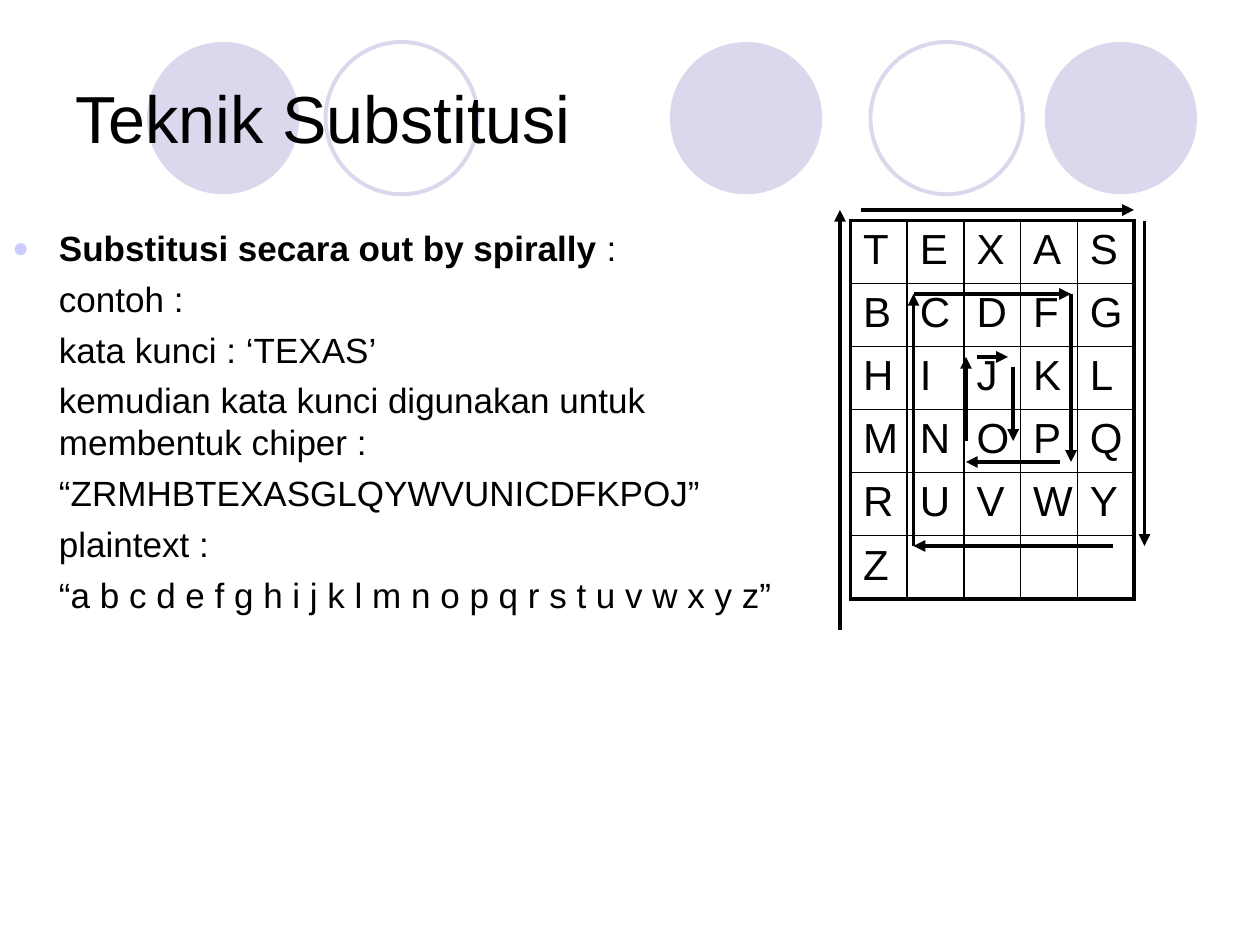
from lxml.etree import SubElement
from pptx import Presentation
from pptx.dml.color import RGBColor
from pptx.enum.shapes import MSO_CONNECTOR, MSO_SHAPE
from pptx.enum.text import MSO_ANCHOR
from pptx.oxml.ns import qn
from pptx.util import Inches, Pt

BLACK = RGBColor(0x00, 0x00, 0x00)
LAVENDER = RGBColor(0xD9, 0xD8, 0xEC)
BULLET = RGBColor(0xCC, 0xCC, 0xFF)

CIRCLE_TOP, CIRCLE_SIZE = 4, 14.5
CIRCLES = [(63.8, True), (99.5, True), (14, True), (82.9, False), (31, False)]

BODY = [
    [("Substitusi secara out by spirally", True), (" :", False)],
    [("contoh :", False)],
    [("kata kunci : ‘TEXAS’", False)],
    [("kemudian kata kunci digunakan untuk membentuk chiper :", False)],
    [("“ZRMHBTEXASGLQYWVUNICDFKPOJ”", False)],
    [("plaintext :", False)],
    [("“a b c d e f g h i j k l m n o p q r s t u v w x y z”", False)],
]

KEY_SQUARE = ["TEXAS", "BCDFG", "HIJKL", "MNOPQ", "RUVWY", "Z"]

SPIRAL_ARROWS = [
    (80, 60, 80, 20), (82, 20, 108, 20), (109, 21, 109, 52),
    (106, 52, 87, 52), (87, 52, 87, 28), (87, 28, 102, 28),
    (102, 28, 102, 44), (101, 44, 92, 44), (92, 42, 92, 34),
    (93, 34, 96, 34), (96.5, 35, 96.5, 42),
]


class SlideBuilder:
    """Draws styled elements on a slide divided into 120 columns and 90 rows."""

    font = "Arial"
    thick = Pt(2.25)
    thin = Pt(1)

    def __init__(self, presentation):
        self.slide = presentation.slides.add_slide(presentation.slide_layouts[6])
        self.column = presentation.slide_width / 120
        self.row = presentation.slide_height / 90

    def place(self, x, y):
        return round(x * self.column), round(y * self.row)

    def circle(self, x, y, size, filled):
        shape = self.slide.shapes.add_shape(
            MSO_SHAPE.OVAL, *self.place(x, y), *self.place(size, size))
        shape.shadow.inherit = False
        if filled:
            shape.fill.solid()
            shape.fill.fore_color.rgb = LAVENDER
            shape.line.fill.background()
        else:
            shape.fill.background()
            shape.line.color.rgb = LAVENDER
            shape.line.width = self.thick

    def add_run(self, paragraph, text, size, bold=False):
        run = paragraph.add_run()
        run.text = text
        run.font.name = self.font
        run.font.size = Pt(size)
        run.font.bold = bold
        run.font.color.rgb = BLACK

    def text_frame(self, x, y, width, height, anchor):
        box = self.slide.shapes.add_textbox(
            *self.place(x, y), *self.place(width, height))
        box.text_frame.word_wrap = True
        box.text_frame.vertical_anchor = anchor
        return box.text_frame

    def title(self, text, x, y, width, height):
        frame = self.text_frame(x, y, width, height, MSO_ANCHOR.MIDDLE)
        self.add_run(frame.paragraphs[0], text, 38)

    def add_bullet(self, properties):
        properties.set("indent", str(-Inches(0.37)))
        color = SubElement(properties, qn("a:buClr"))
        SubElement(color, qn("a:srgbClr"), val=str(BULLET))
        SubElement(properties, qn("a:buSzPct"), val="80000")
        SubElement(properties, qn("a:buFont"), typeface=self.font)
        SubElement(properties, qn("a:buChar"), char="●")

    def body(self, lines, x, y, width, height):
        frame = self.text_frame(x, y, width, height, MSO_ANCHOR.TOP)
        for index, runs in enumerate(lines):
            paragraph = frame.add_paragraph() if index else frame.paragraphs[0]
            properties = paragraph._p.get_or_add_pPr()
            properties.set("marL", str(Inches(0.37)))
            if index:
                paragraph.space_before = Pt(5)
            else:
                self.add_bullet(properties)
            for text, bold in runs:
                self.add_run(paragraph, text, 20, bold)

    def border(self, cell, sides):
        properties = cell._tc.get_or_add_tcPr()
        for side, outer in sides.items():
            width = self.thick if outer else self.thin
            line = SubElement(properties, qn(f"a:ln{side}"), w=str(width))
            fill = SubElement(line, qn("a:solidFill"))
            SubElement(fill, qn("a:srgbClr"), val=str(BLACK))

    def letter_table(self, rows, x, y, width, height):
        row_count, column_count = len(rows), len(rows[0])
        table = self.slide.shapes.add_table(
            row_count, column_count,
            *self.place(x, y), *self.place(width, height)).table
        table.first_row = table.horz_banding = False
        for i, letters in enumerate(rows):
            for j in range(column_count):
                cell = table.cell(i, j)
                cell.margin_right = 0
                self.border(cell, {
                    "L": j == 0, "R": j == column_count - 1,
                    "T": i == 0, "B": i == row_count - 1})
                cell.fill.background()
                if j < len(letters):
                    paragraph = cell.text_frame.paragraphs[0]
                    self.add_run(paragraph, letters[j], 24)

    def arrow(self, x1, y1, x2, y2):
        connector = self.slide.shapes.add_connector(
            MSO_CONNECTOR.STRAIGHT, *self.place(x1, y1), *self.place(x2, y2))
        connector.line.color.rgb = BLACK
        connector.line.width = self.thick
        SubElement(connector.line._get_or_add_ln(), qn("a:tailEnd"), type="triangle")
        SubElement(connector._element.spPr, qn("a:effectLst"))


def main():
    presentation = Presentation()
    presentation.slide_width = Inches(10)
    presentation.slide_height = Inches(7.5)
    builder = SlideBuilder(presentation)
    for x, filled in CIRCLES:
        builder.circle(x, CIRCLE_TOP, CIRCLE_SIZE, filled)
    builder.title("Teknik Substitusi", 6, 3.6, 108, 15)
    builder.body(BODY, 0, 21, 79, 59.4)
    builder.letter_table(KEY_SQUARE, 81, 21, 27, 36)
    for ends in SPIRAL_ARROWS:
        builder.arrow(*ends)
    presentation.save("out.pptx")


if __name__ == "__main__":
    main()
